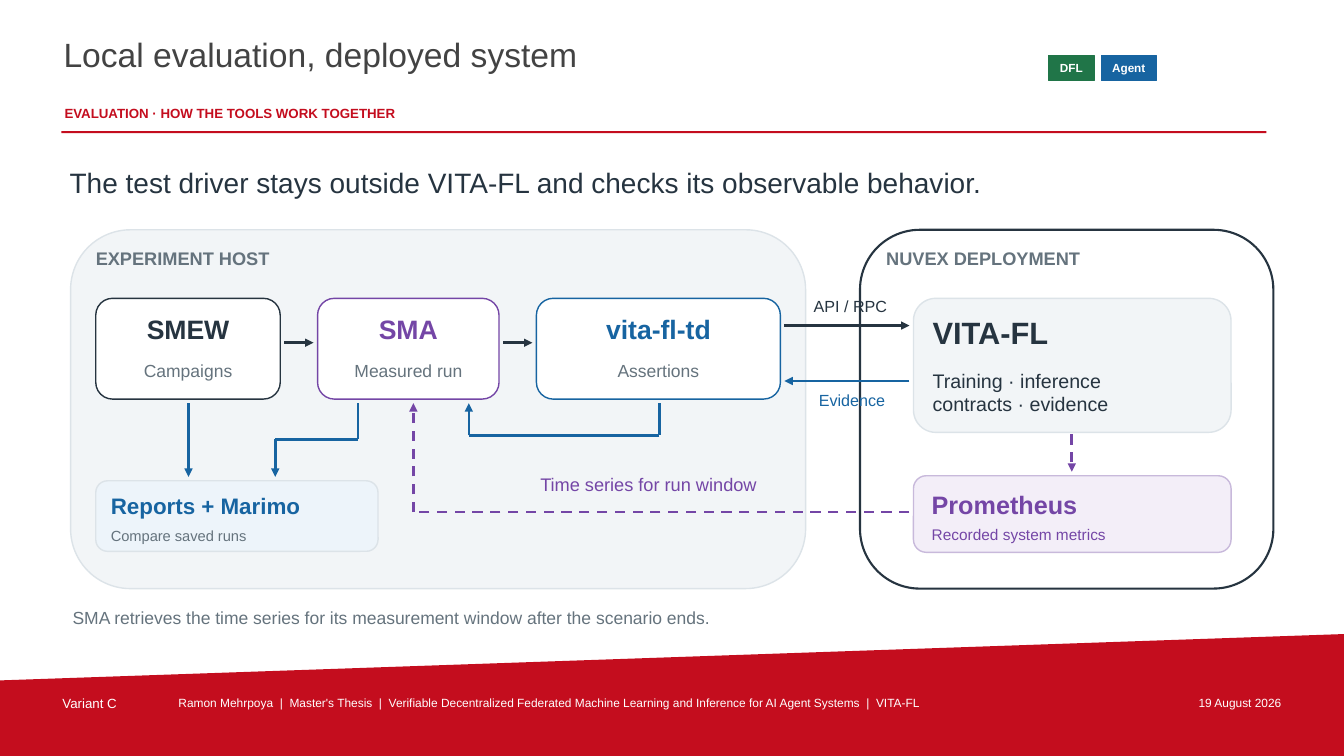
from itertools import pairwise

from lxml.etree import SubElement
from pptx import Presentation
from pptx.dml.color import RGBColor
from pptx.enum.dml import MSO_LINE
from pptx.enum.shapes import MSO_CONNECTOR, MSO_SHAPE
from pptx.enum.text import MSO_ANCHOR, PP_ALIGN
from pptx.oxml.ns import qn
from pptx.util import Emu, Pt

RED, INK, GREY, WHITE = "C40D1E", "263440", "65737D", "FFFFFF"
BLUE, PURPLE, GREEN, TITLE = "1764A1", "7446A6", "207548", "434343"
PALE, PALE_EDGE = "F2F5F7", "DCE3E8"
LEFT, CENTER, RIGHT = PP_ALIGN.LEFT, PP_ALIGN.CENTER, PP_ALIGN.RIGHT


def px(length):
    """100 px to the inch."""
    return Emu(length * 9144)


def color(hex_string):
    return RGBColor.from_string(hex_string)


class Board:
    """Holds the font and the slide being drawn on."""

    def __init__(self, slide, font="Arial"):
        self.shapes = slide.shapes
        self.font = font

    def fill_text(self, frame, words, size, ink, bold, align, anchor, inset):
        frame.word_wrap = True
        frame.vertical_anchor = anchor
        frame.margin_left = frame.margin_right = px(inset)
        frame.margin_top = frame.margin_bottom = px(inset)
        paragraph = frame.paragraphs[0]
        paragraph.text = words
        paragraph.alignment = align
        font = paragraph.font
        font.name, font.size, font.bold = self.font, Pt(size), bold
        font.color.rgb = color(ink)

    def text(self, place, words, size, ink, bold=False, align=LEFT,
             anchor=MSO_ANCHOR.MIDDLE, inset=0):
        box = self.shapes.add_textbox(*map(px, place))
        self.fill_text(box.text_frame, words, size, ink, bold, align, anchor, inset)

    def frame_text(self, place, words, size, ink, bold=False, align=LEFT):
        """Header and footer text: top anchored with a small inset."""
        self.text(place, words, size, ink, bold, align, MSO_ANCHOR.TOP, 2)

    def paint(self, shape, fill, edge=None, width=1):
        shape.shadow.inherit = False
        shape.fill.solid()
        shape.fill.fore_color.rgb = color(fill)
        if edge:
            shape.line.color.rgb = color(edge)
            shape.line.width = Pt(width)
        else:
            shape.line.fill.background()

    def box(self, place, fill, edge=None, width=1, kind=MSO_SHAPE.ROUNDED_RECTANGLE):
        shape = self.shapes.add_shape(kind, *map(px, place))
        self.paint(shape, fill, edge, width)
        return shape

    def badge(self, place, words, fill):
        shape = self.box(place, fill, fill, 0.55, MSO_SHAPE.RECTANGLE)
        self.fill_text(shape.text_frame, words, 8.4, WHITE, True, CENTER,
                       MSO_ANCHOR.MIDDLE, 0)

    def polygon(self, points, fill):
        start, *rest = [(px(x), px(y)) for x, y in points]
        builder = self.shapes.build_freeform(*start)
        builder.add_line_segments(rest, close=True)
        self.paint(builder.convert_to_shape(), fill)

    def route(self, points, ink, dashed=False):
        """Straight segments through the points, with an arrowhead at the end."""
        for start, end in pairwise(points):
            segment = self.shapes.add_connector(
                MSO_CONNECTOR.STRAIGHT, *map(px, start + end))
            segment.line.color.rgb = color(ink)
            segment.line.width = Pt(1.8)
            if dashed:
                segment.line.dash_style = MSO_LINE.DASH
            properties = segment._element.spPr
            if end == points[-1]:
                SubElement(properties.find(qn("a:ln")), qn("a:tailEnd"), type="triangle")
            SubElement(properties, qn("a:effectLst"))


def main():
    deck = Presentation()
    deck.slide_width, deck.slide_height = px(1333), px(750)
    board = Board(deck.slides.add_slide(deck.slide_layouts[6]))

    # Footer band
    board.polygon([(0, 675), (1333, 629), (1333, 750), (0, 750)], RED)
    board.frame_text((60, 688, 110, 22), "Variant C", 9.5, WHITE)
    board.frame_text(
        (175, 688, 935, 22),
        "Ramon Mehrpoya  |  Master's Thesis  |  Verifiable Decentralized Federated "
        "Machine Learning and Inference for AI Agent Systems  |  VITA-FL", 8.5, WHITE)
    board.frame_text((1120, 688, 153, 22), "19 August 2026", 8.5, WHITE, align=RIGHT)

    # Header
    board.frame_text((61, 32, 965, 62), "Local evaluation, deployed system", 24, TITLE)
    board.frame_text((62, 102, 970, 22), "EVALUATION · HOW THE TOOLS WORK TOGETHER",
                     9.5, RED, True)
    board.box((61, 130, 1195, 2), RED, kind=MSO_SHAPE.RECTANGLE)
    board.badge((1040, 55, 45, 25), "DFL", GREEN)
    board.badge((1092, 55, 55, 25), "Agent", BLUE)
    board.text((69, 152, 1195, 57),
               "The test driver stays outside VITA-FL and checks its observable behavior.",
               20, INK)

    # Two environments
    board.box((70, 228, 729, 356), PALE, PALE_EDGE)
    board.box((853, 228, 410, 356), WHITE, INK, 1.5)
    board.text((95, 242, 675, 29), "EXPERIMENT HOST", 13, GREY, True)
    board.text((879, 242, 356, 29), "NUVEX DEPLOYMENT", 13, GREY, True)

    # Tools on the host
    for left, width, tool, role, ink in [
        (95, 183, "SMEW", "Campaigns", INK),
        (315, 180, "SMA", "Measured run", PURPLE),
        (532, 242, "vita-fl-td", "Assertions", BLUE),
    ]:
        board.box((left, 296, width, 100), WHITE, ink)
        board.text((left + 12, 308, width - 24, 36), tool, 19, ink, True, CENTER)
        board.text((left + 9, 354, width - 18, 27), role, 12.5, GREY, align=CENTER)
    for start in (282, 499):
        board.route([(start, 340), (start + 29, 340)], INK)

    # Deployed system
    board.box((906, 296, 315, 133), PALE, PALE_EDGE)
    board.text((925, 310, 277, 40), "VITA-FL", 22, INK, True)
    board.text((925, 361, 277, 56), "Training · inference\ncontracts · evidence", 14, INK)

    # Exchange between host and deployment
    board.route([(778, 323), (902, 323)], INK)
    board.text((790, 291, 107, 26), "API / RPC", 11.5, INK, align=CENTER)
    board.route([(902, 378), (778, 378)], BLUE)
    board.text((793, 383, 104, 27), "Evidence", 11.5, BLUE, align=CENTER)

    # Metrics and their way back to SMA
    board.box((906, 472, 315, 76), "F3EEF8", "C8B9DB")
    board.text((924, 483, 279, 34), "Prometheus", 18, PURPLE, True)
    board.text((924, 519, 279, 22), "Recorded system metrics", 11, PURPLE)
    board.route([(1063, 431), (1063, 468)], PURPLE, dashed=True)
    board.route([(902, 508), (410, 508), (410, 400)], PURPLE, dashed=True)
    board.text((457, 466, 372, 28), "Time series for run window", 13, PURPLE, align=CENTER)

    # Reports and the routes below the tools
    board.box((95, 477, 280, 70), "EDF4FA", PALE_EDGE)
    board.text((110, 486, 250, 31), "Reports + Marimo", 16, BLUE, True)
    board.text((110, 521, 250, 20), "Compare saved runs", 10.5, GREY)
    board.route([(187, 400), (187, 473)], BLUE)
    board.route([(355, 400), (355, 436), (273, 436), (273, 473)], BLUE)
    board.route([(654, 400), (654, 432), (465, 432), (465, 400)], BLUE)

    # Closing remark
    board.text((72, 598, 1191, 30),
               "SMA retrieves the time series for its measurement window "
               "after the scenario ends.", 12.5, GREY)

    deck.save("out.pptx")


if __name__ == "__main__":
    main()
